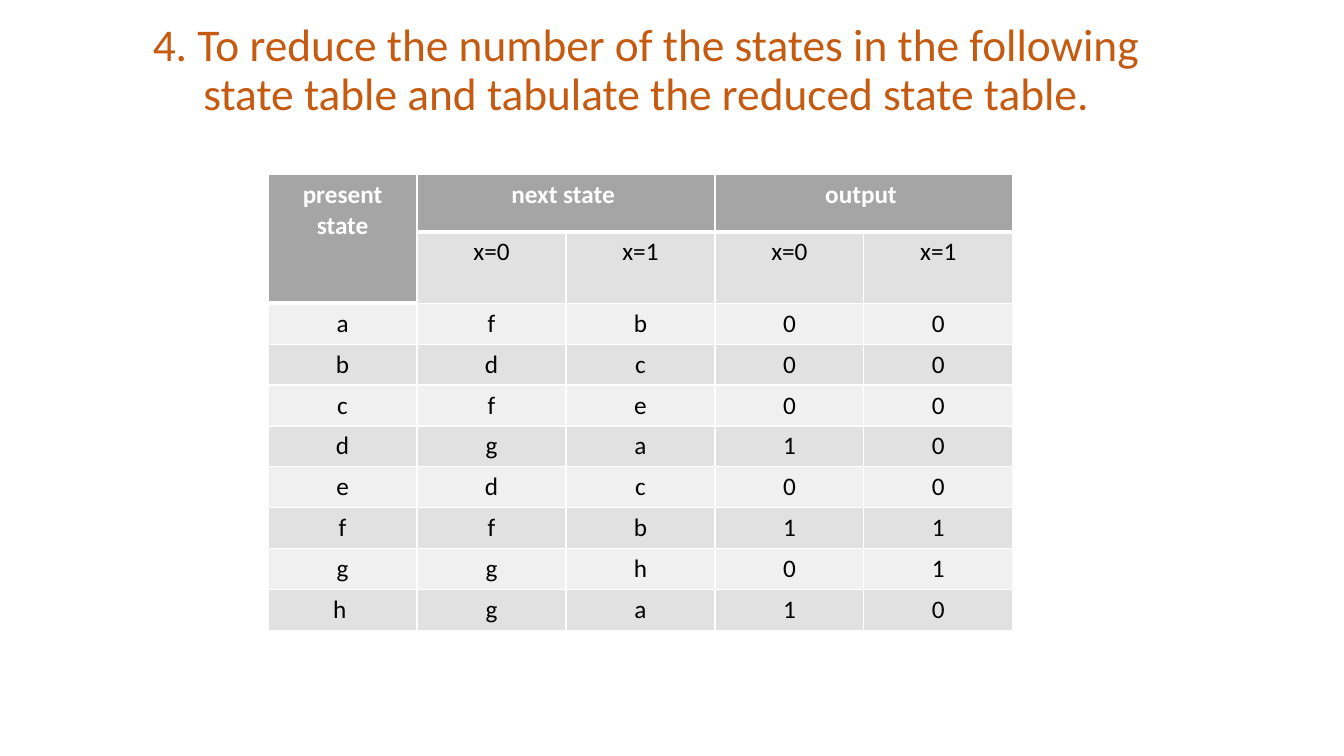
from dataclasses import dataclass

from lxml.etree import SubElement
from pptx import Presentation
from pptx.dml.color import RGBColor
from pptx.enum.text import MSO_ANCHOR, MSO_AUTO_SIZE, PP_ALIGN
from pptx.oxml.ns import qn
from pptx.slide import Slide
from pptx.table import Table, _Cell
from pptx.util import Pt

FONT = "Calibri"
ORANGE = RGBColor(0xC5, 0x5A, 0x11)
WHITE = RGBColor(0xFF, 0xFF, 0xFF)
BLACK = RGBColor(0, 0, 0)
GRAY = RGBColor(0xA5, 0xA5, 0xA5)
BAND_DARK = RGBColor(0xE1, 0xE1, 0xE1)
BAND_LIGHT = RGBColor(0xF0, 0xF0, 0xF0)

TITLE = ("4. To reduce the number of the states in the following "
         "state table and tabulate the reduced state table.")
STATE_ROWS = [
    ["present state", "next state ", "", "output ", ""],
    ["", "x=0", "x=1", "x=0", "x=1"],
    ["a", "f", "b", "0", "0"],
    ["b", "d", "c", "0", "0"],
    ["c", "f", "e", "0", "0"],
    ["d", "g", "a", "1", "0"],
    ["e", "d", "c", "0", "0"],
    ["f", "f", "b", "1", "1"],
    ["g", "g", "h", "0", "1"],
    ["h ", "g", "a", "1", "0"],
]
COL_WIDTH = 106.4
ROW_HEIGHTS = [41, 24.5] + [26.6] * 8


@dataclass(frozen=True)
class CellStyle:
    fill: RGBColor
    color: RGBColor
    bold: bool
    rule: float  # width of the line below the cell


HEADER = CellStyle(GRAY, WHITE, True, 3)
DARK = CellStyle(BAND_DARK, BLACK, False, 1)
LIGHT = CellStyle(BAND_LIGHT, BLACK, False, 1)


def style_at(row: int, col: int) -> CellStyle:
    if row == 0 or (row, col) == (1, 0):
        return HEADER
    return DARK if row % 2 else LIGHT


def add_borders(cell: _Cell, top: float, bottom: float) -> None:
    tc_pr = cell._tc.get_or_add_tcPr()
    for side, width in (("L", 1), ("R", 1), ("T", top), ("B", bottom)):
        ln = SubElement(tc_pr, qn(f"a:ln{side}"), w=str(Pt(width)))
        fill = SubElement(ln, qn("a:solidFill"))
        SubElement(fill, qn("a:srgbClr"), val=str(WHITE))


def format_cell(cell: _Cell, text: str, style: CellStyle, top: float) -> None:
    add_borders(cell, top, style.rule)
    cell.fill.solid()
    cell.fill.fore_color.rgb = style.fill
    p = cell.text_frame.paragraphs[0]
    p.text = text
    p.alignment = PP_ALIGN.CENTER
    p.font.size = Pt(18)
    for r in p.runs:
        r.font.name = FONT
        r.font.size = Pt(18)
        r.font.bold = style.bold
        r.font.color.rgb = style.color


def add_title(s: Slide) -> None:
    sp = s.shapes.title
    sp.left, sp.top, sp.width, sp.height = Pt(101.5), Pt(22.3), Pt(720), Pt(67)
    tf = sp.text_frame
    tf.text = TITLE
    tf.word_wrap = True
    tf.auto_size = MSO_AUTO_SIZE.NONE
    tf.vertical_anchor = MSO_ANCHOR.BOTTOM
    p = tf.paragraphs[0]
    p.alignment = PP_ALIGN.CENTER
    p.line_spacing = 0.9
    r = p.runs[0]
    r.font.name = FONT
    r.font.size = Pt(32.4)
    r.font.color.rgb = ORANGE


def add_state_table(s: Slide) -> Table:
    n_cols = len(STATE_ROWS[0])
    frame = s.shapes.add_table(len(STATE_ROWS), n_cols, Pt(191.5), Pt(124.5),
                               Pt(COL_WIDTH * n_cols), Pt(sum(ROW_HEIGHTS)))
    table = frame.table
    for column in table.columns:
        column.width = Pt(COL_WIDTH)
    for row, height in zip(table.rows, ROW_HEIGHTS):
        row.height = Pt(height)
    for i, texts in enumerate(STATE_ROWS):
        for j, text in enumerate(texts):
            top = style_at(i - 1, j).rule if i else 1
            format_cell(table.cell(i, j), text, style_at(i, j), top)
    # Merged headings
    table.cell(0, 0).merge(table.cell(1, 0))
    for j in (1, 3):
        table.cell(0, j).merge(table.cell(0, j + 1))
    return table


def main() -> None:
    prs = Presentation()
    prs.slide_width, prs.slide_height = Pt(960), Pt(540)
    s = prs.slides.add_slide(prs.slide_layouts[5])
    add_title(s)
    add_state_table(s)
    prs.save("out.pptx")


if __name__ == "__main__":
    main()
